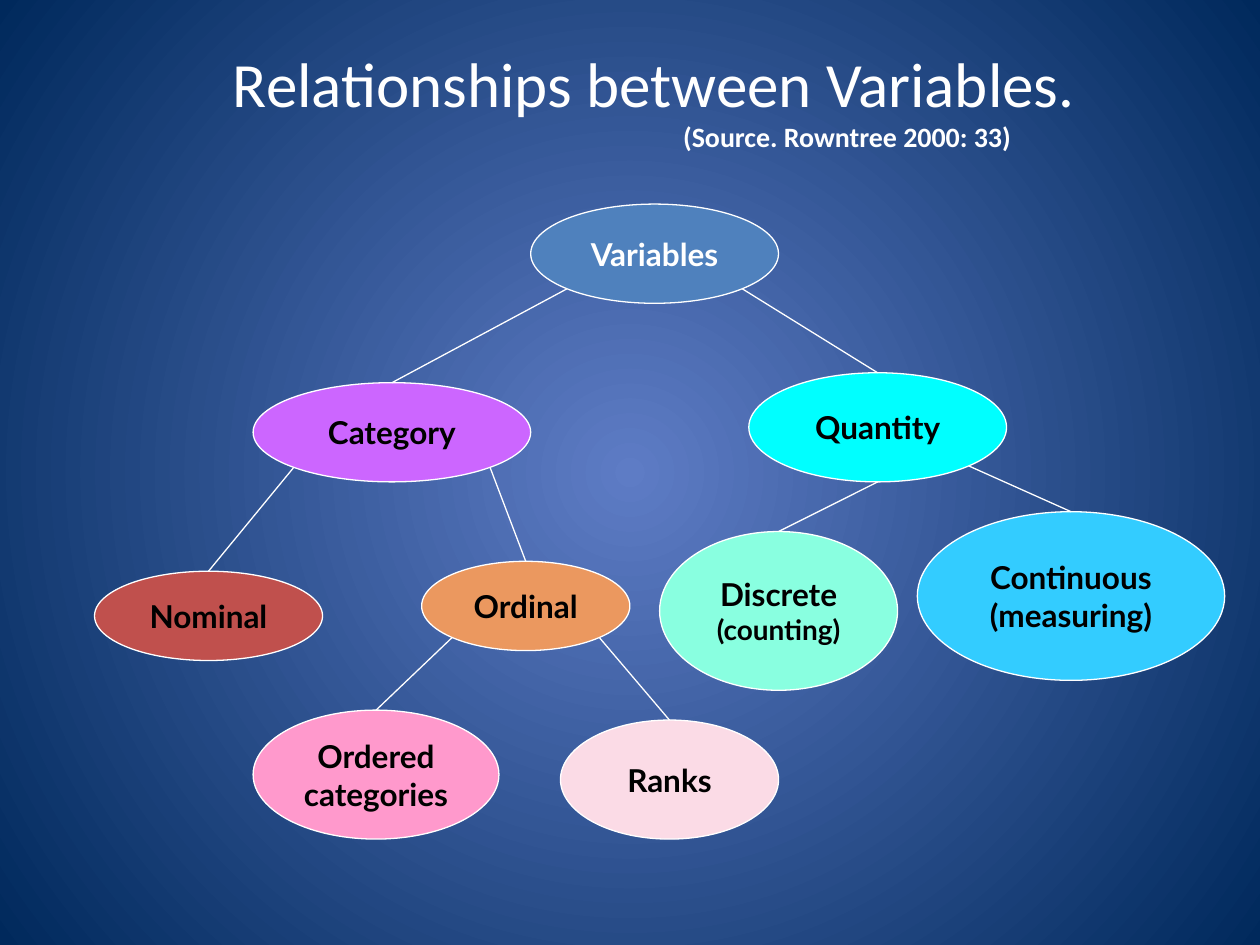
from dataclasses import dataclass
from math import sqrt

from lxml.etree import SubElement
from pptx import Presentation
from pptx.dml.color import RGBColor
from pptx.enum.shapes import MSO_CONNECTOR, MSO_SHAPE
from pptx.enum.text import MSO_ANCHOR, PP_ALIGN
from pptx.oxml import parse_xml
from pptx.oxml.ns import nsdecls, qn
from pptx.util import Inches, Pt


@dataclass(frozen=True)
class Theme:
    centre: str = "5E7CC5"
    edge: str = "00295C"
    light: str = "FFFFFF"
    dark: str = "000000"
    title_font: str = "Calibri"
    node_font: str = "Lato"
    title_size: int = 36
    node_size: int = 18
    small_size: int = 16
    line_width: float = 0.75


THEME = Theme()
COLS, ROWS = 114, 64  # grid of the tree

# name: (column, row, columns wide, rows high, fill, text colour, lines of text)
NODES = {
    "variables": (44, 0, 25, 10, "4F81BD", THEME.light, ["Variables"]),
    "category": (16, 18, 28, 10, "CC66FF", THEME.dark, ["Category"]),
    "quantity": (66, 17, 26, 11, "00FFFF", THEME.dark, ["Quantity"]),
    "nominal": (0, 37, 23, 9, "C0504D", THEME.dark, ["Nominal"]),
    "ordinal": (33, 36, 21, 9, "EB985F", THEME.dark, ["Ordinal"]),
    "discrete": (57, 33, 24, 16, "89FFE0", THEME.dark, ["Discrete", "(counting)"]),
    "continuous": (83, 31, 31, 17, "33CCFF", THEME.dark, ["Continuous", "(measuring)"]),
    "ordered": (16, 51, 24.8, 13, "FF99CC", THEME.dark, ["Ordered", "categories"]),
    "ranks": (47, 52, 22, 12, "FBDBE6", THEME.dark, ["Ranks"]),
}
SMALL_LINES = {"(counting)"}

# Where a link leaves its parent ellipse, as shares of the ellipse's box
DIAGONAL = sqrt(0.5) / 2
LEFT = (0.5 - DIAGONAL, 0.5 + DIAGONAL)
RIGHT = (0.5 + DIAGONAL, 0.5 + DIAGONAL)
BOTTOM = (0.5, 1)
LINKS = [
    ("variables", LEFT, "category"),
    ("variables", RIGHT, "quantity"),
    ("category", LEFT, "nominal"),
    ("category", RIGHT, "ordinal"),
    ("ordinal", LEFT, "ordered"),
    ("ordinal", RIGHT, "ranks"),
    ("quantity", BOTTOM, "discrete"),
    ("quantity", RIGHT, "continuous"),
]


def rgb(value):
    return RGBColor.from_string(value)


def style_font(p, name, size, color, bold):
    f = p.font
    f.name, f.size, f.bold = name, Pt(size), bold
    f.color.rgb = rgb(color)


def style_line(line):
    line.color.rgb = rgb(THEME.light)
    line.width = Pt(THEME.line_width)


def paint_background(slide):
    """Radial gradient from the middle of the slide."""
    fill = slide.background.fill
    fill.solid()
    bg_pr = slide.element.find(".//" + qn("p:bgPr"))
    bg_pr.replace(bg_pr[0], parse_xml(
        f'<a:gradFill {nsdecls("a")} rotWithShape="1"><a:gsLst>'
        f'<a:gs pos="0"><a:srgbClr val="{THEME.centre}"/></a:gs>'
        f'<a:gs pos="100000"><a:srgbClr val="{THEME.edge}"/></a:gs></a:gsLst>'
        '<a:path path="circle"><a:fillToRect l="50000" t="50000" r="50000" b="50000"/>'
        '</a:path></a:gradFill>'))


def add_title(slide, left, top, width, height):
    sp = slide.shapes.title
    sp.left, sp.top, sp.width, sp.height = map(int, (left, top, width, height))
    tf = sp.text_frame
    tf.word_wrap, tf.vertical_anchor = True, MSO_ANCHOR.MIDDLE
    tf.text = "Relationships between Variables.\n(Source. Rowntree 2000: 33)"
    heading, source = tf.paragraphs
    # The source line is centred in the right part of the box
    source._p.get_or_add_pPr().set("marL", str(int(width * 0.36)))
    style_font(heading, THEME.title_font, THEME.title_size, THEME.light, False)
    style_font(source, THEME.title_font, THEME.small_size, THEME.light, True)
    for p in tf.paragraphs:
        p.alignment = PP_ALIGN.CENTER


def add_node(slide, box, fill, color, lines):
    sp = slide.shapes.add_shape(MSO_SHAPE.OVAL, *map(int, box))
    sp.shadow.inherit = False
    sp.fill.solid()
    sp.fill.fore_color.rgb = rgb(fill)
    style_line(sp.line)
    tf = sp.text_frame
    tf.word_wrap, tf.vertical_anchor = False, MSO_ANCHOR.MIDDLE
    tf.text = "\n".join(lines)
    for p in tf.paragraphs:
        size = THEME.small_size if p.text in SMALL_LINES else THEME.node_size
        style_font(p, THEME.node_font, size, color, True)
        p.alignment = PP_ALIGN.CENTER


def add_link(slide, parent, exit_point, child):
    def point(box, share):
        return int(box[0] + box[2] * share[0]), int(box[1] + box[3] * share[1])

    line = slide.shapes.add_connector(
        MSO_CONNECTOR.STRAIGHT, *point(parent, exit_point), *point(child, (0.5, 0)))
    style_line(line.line)
    SubElement(line._element.spPr, qn("a:effectLst"))


def add_tree(slide, left, top, width, height):
    col, row = width / COLS, height / ROWS
    boxes = {}
    for name, (x, y, w, h, fill, color, lines) in NODES.items():
        boxes[name] = (left + x * col, top + y * row, w * col, h * row)
        add_node(slide, boxes[name], fill, color, lines)
    for parent, exit_point, child in LINKS:
        add_link(slide, boxes[parent], exit_point, boxes[child])


def main():
    prs = Presentation()
    prs.slide_width, prs.slide_height = Inches(10), Inches(7.5)
    slide = prs.slides.add_slide(prs.slide_layouts[5])  # title only
    paint_background(slide)
    add_title(slide, Inches(0.93), Inches(0.25), Inches(8.52), Inches(1.07))
    add_tree(slide, Inches(0.75), Inches(1.62), Inches(8.97), Inches(5.04))
    prs.save("out.pptx")


if __name__ == "__main__":
    main()
